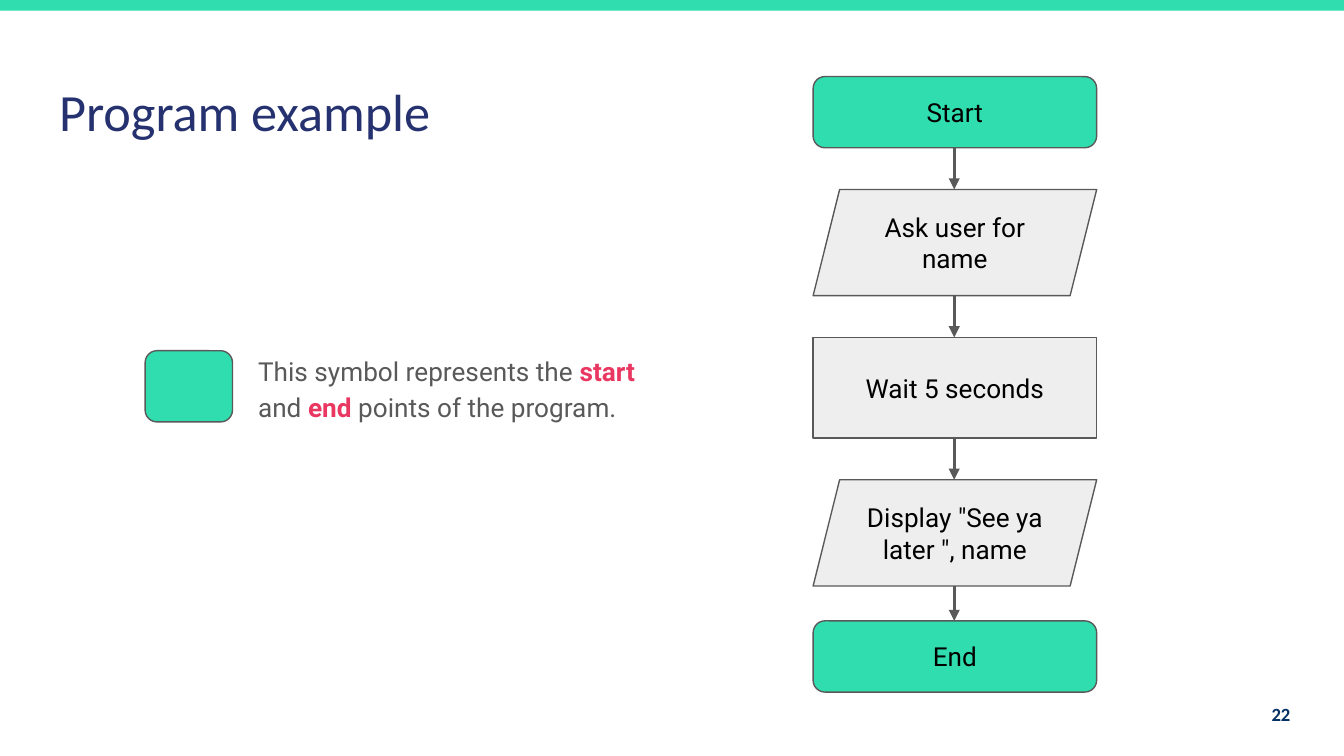
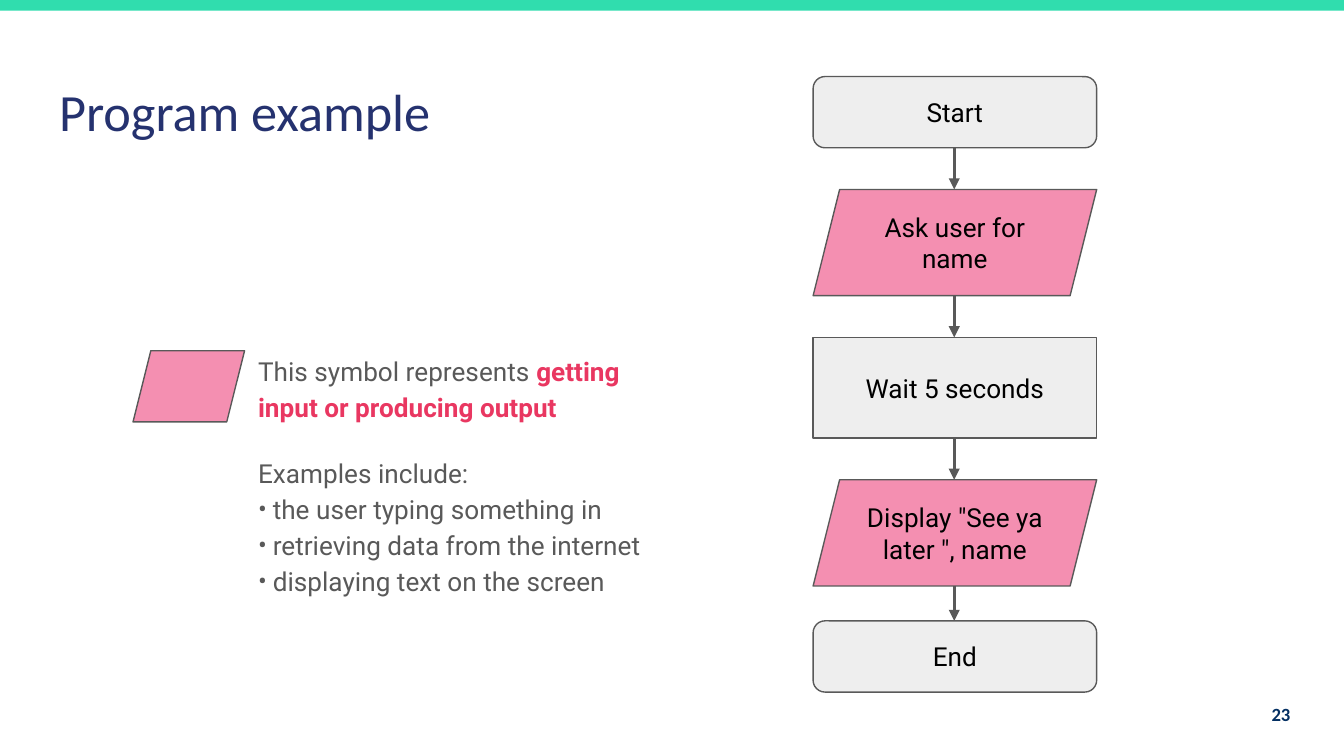
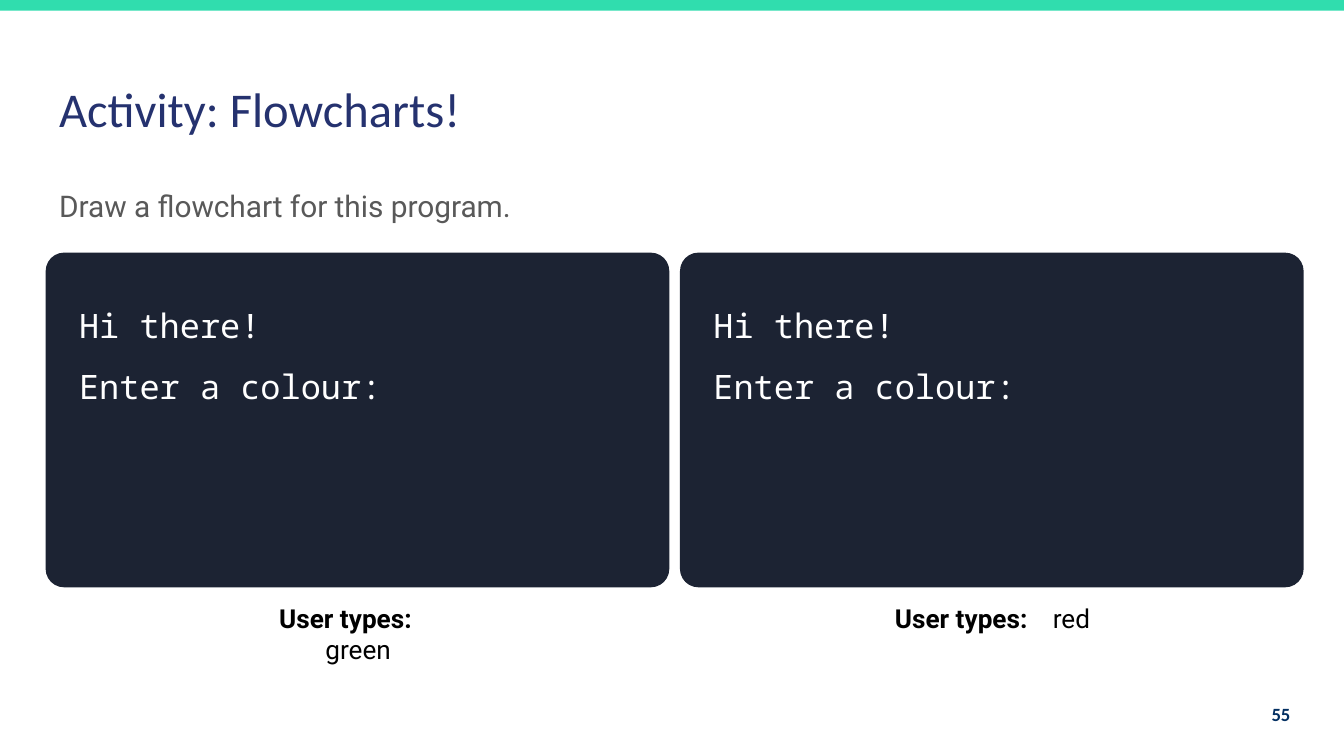
from lxml.etree import SubElement
from pptx import Presentation
from pptx.dml.color import RGBColor
from pptx.enum.shapes import MSO_CONNECTOR as CONN, MSO_SHAPE as SHAPE
from pptx.enum.text import MSO_ANCHOR as ANCHOR, MSO_AUTO_SIZE as AUTO, PP_ALIGN as ALIGN
from pptx.oxml.ns import qn
from pptx.util import Emu, Pt

PX = 9144
GREEN, PINK, LIGHT, DARK = "30DDAE", "F48FB1", "EEEEEE", "1C2333"
GREY, NAVY, PAGE_BLUE, BLACK, WHITE = "595959", "25326F", "032F62", "000000", "FFFFFF"
STRONG = {"color": "E93761", "bold": True}
BULLET = "bullet"
KINDS = {
    "terminal": (SHAPE.ROUNDED_RECTANGLE, 0.167),
    "io": (SHAPE.PARALLELOGRAM, 0.25),
    "process": (SHAPE.RECTANGLE, None),
    "panel": (SHAPE.ROUNDED_RECTANGLE, 0.055),
}
STEPS = [
    ("terminal", "Start", 53, 31),
    ("io", "Ask user for name", 79, 31),
    ("process", "Wait 5 seconds", 75, 31),
    ("io", 'Display "See ya later ", name', 79, 26),
    ("terminal", "End", 53, 0),
]


def px(*lengths):
    """Turn px lengths into EMU."""
    return [Emu(n * PX) for n in lengths]


def rgb(hex_colour):
    """Turn a hex string into a colour."""
    return RGBColor.from_string(hex_colour)


def add_run(p, text, size, font, color, bold=False, tracking=0):
    """Add one formatted run to a paragraph."""
    r = p.add_run()
    r.text = text
    r.font.size, r.font.name, r.font.bold = Pt(size), font, bold
    r.font.color.rgb = rgb(color)
    if tracking:
        r._r.get_or_add_rPr().set("spc", str(tracking * 100))


def set_bullet(p, style, font):
    """Give a paragraph a hanging bullet, or none."""
    ppr = p._p.get_or_add_pPr()
    indent = 11 * PX if style == BULLET else 0
    ppr.set("marL", str(indent))
    ppr.set("indent", str(-indent))
    if style == BULLET:
        SubElement(ppr, qn("a:buFont")).set("typeface", font)
        SubElement(ppr, qn("a:buChar")).set("char", "•")
    else:
        SubElement(ppr, qn("a:buNone"))


def write(sp, *paragraphs, size=14, font="Roboto", color=BLACK, bold=False,
          align=ALIGN.LEFT, anchor=ANCHOR.TOP, spacing=1.0, before=0, styles=()):
    """Fill a shape with paragraphs, each a string or a list of (text, format) runs."""
    tf = sp.text_frame
    tf.auto_size, tf.word_wrap, tf.vertical_anchor = AUTO.NONE, True, anchor
    tf.margin_left, tf.margin_top, tf.margin_right, tf.margin_bottom = px(10, 10, 10, 10)
    base = {"size": size, "font": font, "color": color, "bold": bold}
    for i, runs in enumerate(paragraphs):
        p = tf.add_paragraph() if i else tf.paragraphs[0]
        style = styles[i] if i < len(styles) else None
        set_bullet(p, style, font)
        p.alignment, p.line_spacing = align, spacing
        p.space_before = Pt(before if i and style != BULLET else 0)
        p.space_after = Pt(0)
        for text, extra in [(runs, {})] if isinstance(runs, str) else runs:
            for n, line in enumerate(text.split("\n")):
                if n:
                    p.add_line_break()
                if line:
                    add_run(p, line, **{**base, **extra})


def add_text(s, box, *paragraphs, **fmt):
    """Add a text box."""
    write(s.shapes.add_textbox(*px(*box)), *paragraphs, **fmt)


def fill_placeholder(sp, box, *paragraphs, **fmt):
    """Move a placeholder into a box and write in it."""
    sp.left, sp.top, sp.width, sp.height = px(*box)
    write(sp, *paragraphs, **fmt)


def add_shape(s, kind, box, fill, line=GREY):
    """Add a flat preset shape."""
    preset, adjustment = KINDS[kind]
    sp = s.shapes.add_shape(preset, *px(*box))
    if adjustment is not None:
        sp.adjustments[0] = adjustment
    sp.shadow.inherit = False
    sp.fill.solid()
    sp.fill.fore_color.rgb = rgb(fill)
    if line:
        sp.line.color.rgb, sp.line.width = rgb(line), Pt(0.75)
    else:
        sp.line.fill.background()
    return sp


def add_arrow(s, x, top, bottom):
    """Add a downward arrow."""
    c = s.shapes.add_connector(CONN.STRAIGHT, *px(x, top, x, bottom))
    c.line.color.rgb, c.line.width = rgb(GREY), Pt(1.5)
    spPr = c.element.find(qn("p:spPr"))
    SubElement(spPr.find(qn("a:ln")), qn("a:tailEnd")).set("type", "triangle")
    SubElement(spPr, qn("a:effectLst"))


def add_slide(prs, title, number, title_width=310, title_size=28):
    """Add a slide with its title and page number."""
    s = prs.slides.add_slide(prs.slide_layouts[1])
    fill_placeholder(s.shapes.title, (34, 49, title_width, 63), title,
                     size=title_size, font="Calibri", color=NAVY)
    add_text(s, (910, 510, 60, 43), str(number), size=10, font="Calibri",
             color=PAGE_BLUE, bold=True, align=ALIGN.RIGHT, anchor=ANCHOR.MIDDLE)
    return s


def add_band(s):
    """Put the top band on the layout that all slides share."""
    band = add_shape(s, "process", (-1, 0, 1002, 8), GREEN, line=None)
    s.slide_layout.shapes.element.append(band.element)


def flowchart(s, box, marked, fill):
    """Stack the program steps in a box, with one kind coloured."""
    x, y, w, _ = box
    for kind, label, height, gap in STEPS:
        step = add_shape(s, kind, (x, y, w, height), fill if kind == marked else LIGHT)
        write(step, label, align=ALIGN.CENTER, anchor=ANCHOR.MIDDLE)
        y += height
        if gap:
            add_arrow(s, x + w // 2, y, y + gap)
            y += gap


def legend(s, box, kind, fill, symbol_width, *paragraphs, **fmt):
    """Explain one symbol: the shape on the left, the words on the right."""
    x, y, w, h = box
    column = 83
    add_shape(s, kind, (x + (column - symbol_width) // 2, y + 10, symbol_width, 53), fill)
    fill_placeholder(s.placeholders[1], (x + column, y, w - column, h), *paragraphs,
                     color=GREY, spacing=1.15, **fmt)


def symbol_slide(prs, number, kind, fill, symbol_width, height, *paragraphs, **fmt):
    """Build a slide that explains one flowchart symbol."""
    s = add_slide(prs, "Program example", number)
    legend(s, (99, 251, 393, height), kind, fill, symbol_width, *paragraphs, **fmt)
    flowchart(s, (605, 57, 211, 458), kind, fill)
    return s


def console(s, box, answer):
    """Show a program's output and what the user types below it."""
    x, y, w, h = box
    add_shape(s, "panel", box, DARK, line=None)
    add_text(s, (x + 15, y + 14, 430, 198), "Hi there!", "Enter a colour:",
             size=18, font="Noto Sans Mono", color=WHITE, spacing=1.5)
    add_text(s, (x + 139, y + h + 1, 187, 44),
             [("User types:", {"bold": True}), (" ", {"bold": True, "tracking": 10}),
              (answer, {})], align=ALIGN.CENTER)


def activity_slide(prs, number):
    """Build the activity slide with two runs of the program."""
    s = add_slide(prs, "Activity: Flowcharts!", number, title_width=495, title_size=26)
    fill_placeholder(s.placeholders[1], (34, 126, 646, 49),
                     "Draw a flowchart for this program.", size=16, color=GREY, spacing=1.15)
    for i, answer in enumerate(["\ngreen", "red"]):
        console(s, (34 + i * 472, 188, 464, 249), answer)


def main():
    """Build and save the deck."""
    prs = Presentation()
    prs.slide_width = Emu(1000 * PX)
    prs.slide_height = Emu(prs.slide_width * 9 // 16)
    first = symbol_slide(
        prs, 22, "terminal", GREEN, 65, 74,
        [("This symbol represents the ", {}), ("start", STRONG), (" and ", {}),
         ("end", STRONG), (" points of the program.", {})])
    add_band(first)
    symbol_slide(
        prs, 23, "io", PINK, 83, 201,
        [("This symbol represents ", {}), ("getting input or producing output", STRONG)],
        "Examples include:", "the user typing something in",
        "retrieving data from the internet", "displaying text on the screen",
        before=16, styles=[None, None, BULLET, BULLET, BULLET])
    activity_slide(prs, 55)
    prs.save("out.pptx")


if __name__ == "__main__":
    main()
